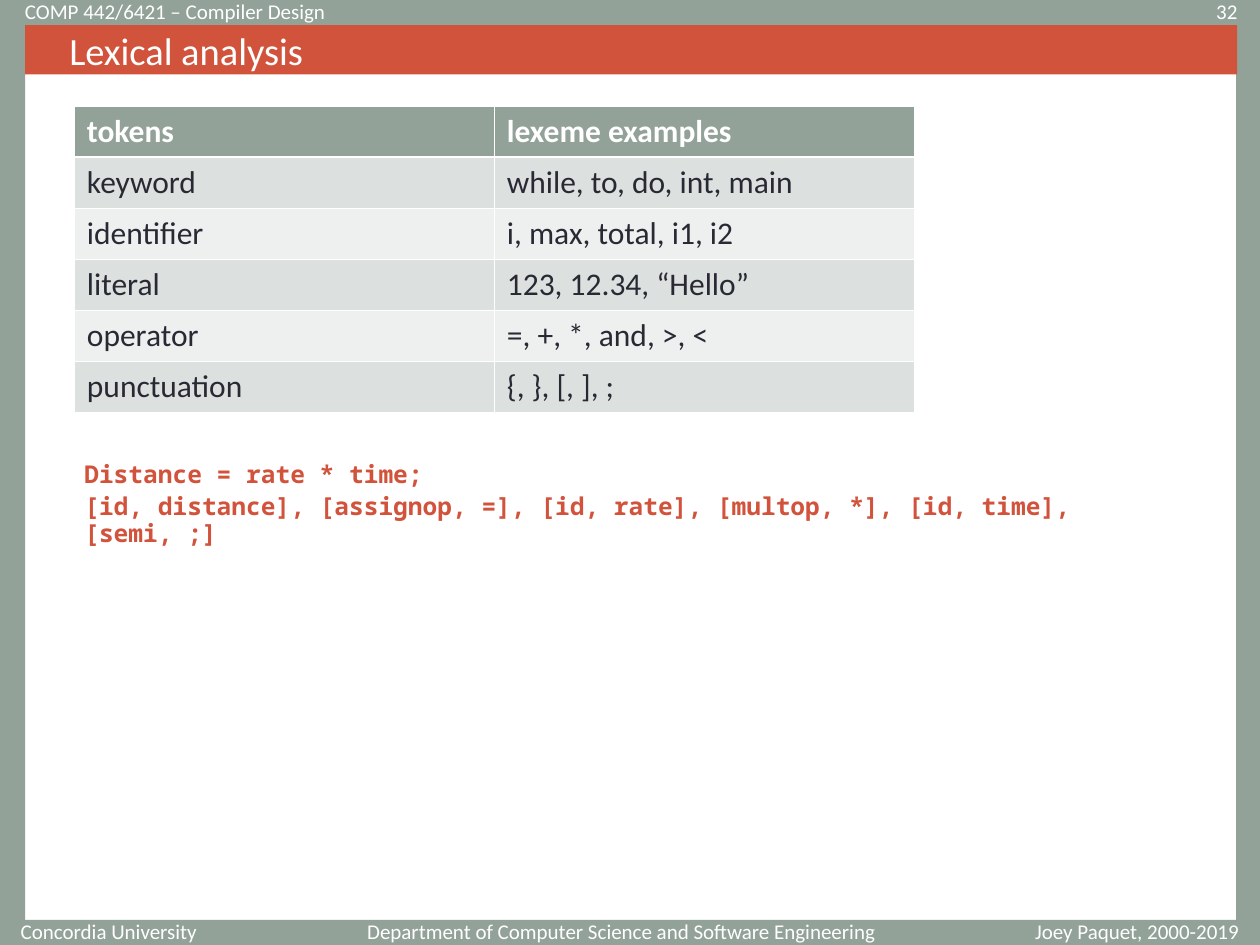
from typing import NamedTuple

from lxml.etree import SubElement
from pptx import Presentation
from pptx.dml.color import RGBColor
from pptx.enum.shapes import MSO_SHAPE as Kind
from pptx.enum.text import MSO_ANCHOR as Anchor, PP_ALIGN as Align
from pptx.oxml.ns import qn
from pptx.util import Pt

SAGE, RED, WHITE, INK = "93A299", "D2533C", "FFFFFF", "292934"
BANDS = ("DCE0DE", "EEF0EF")
SANS, MONO = "Calibri", "Noto Sans Mono"


class Box(NamedTuple):
    left: float
    top: float
    width: float
    height: float


class Label(NamedTuple):
    text: str
    box: Box
    align: Align


BARS = [
    Box(0, 0, 720, 14.4),
    Box(0, 525.6, 720, 14.4),
    Box(0, 0, 14.4, 535.7),
    Box(706.3, 13, 13.7, 527),
]
LABELS = [
    Label("Concordia University ", Box(2.2, 527.8, 120.2, 8.6), Align.RIGHT),
    Label("Department of Computer Science and Software Engineering",
          Box(201.6, 527.8, 306, 8.6), Align.RIGHT),
    Label("Joey Paquet, 2000-2019", Box(575.3, 527.8, 149, 8.6), Align.CENTER),
    Label("32", Box(630, 2.2, 84.2, 8.6), Align.RIGHT),
    Label("COMP 442/6421 – Compiler Design", Box(7.2, 2.2, 403.2, 8.6), Align.LEFT),
]
ROWS = [
    ("tokens", "lexeme examples"),
    ("keyword", "while, to, do, int, main"),
    ("identifier", "i, max, total, i1, i2"),
    ("literal", "123, 12.34, “Hello”"),
    ("operator", "=, +, *, and, >, <"),
    ("punctuation", "{, }, [, ], ;"),
]
CODE = [
    "Distance = rate * time;",
    "[id, distance], [assignop, =], [id, rate], [multop, *], [id, time], [semi, ;]",
]


def rgb(code: str) -> RGBColor:
    return RGBColor.from_string(code)


def place(box: Box) -> list:
    return [Pt(n) for n in box]


def style(para, size: float, color: str, face: str = SANS, bold: bool = False) -> None:
    for run in para.runs:
        font = run.font
        font.name, font.size, font.bold = face, Pt(size), bold
        font.color.rgb = rgb(color)


def add_rect(slide, box: Box, color: str):
    rect = slide.shapes.add_shape(Kind.RECTANGLE, *place(box))
    rect.shadow.inherit = False
    rect.fill.solid()
    rect.fill.fore_color.rgb = rgb(color)
    rect.line.fill.background()
    return rect


def add_title(slide, text: str) -> None:
    frame = add_rect(slide, Box(14.4, 14.4, 692.6, 28.1), RED).text_frame
    frame.text = text
    frame.margin_left = Pt(25.2)
    frame.vertical_anchor = Anchor.MIDDLE
    para = frame.paragraphs[0]
    para.alignment = Align.LEFT
    style(para, 22, WHITE)


def add_label(slide, label: Label) -> None:
    frame = slide.shapes.add_textbox(*place(label.box)).text_frame
    frame.word_wrap = True
    frame.vertical_anchor = Anchor.MIDDLE
    frame.text = label.text
    para = frame.paragraphs[0]
    para.alignment = label.align
    style(para, 12, WHITE)


def add_code(slide, lines: list[str]) -> None:
    frame = slide.shapes.add_textbox(*place(Box(19.4, 260.5, 680.4, 65))).text_frame
    frame.word_wrap = True
    frame.margin_left = Pt(28.8)
    frame.text = "\n".join(lines)
    for i, para in enumerate(frame.paragraphs):
        para.line_spacing = 0.9
        para.space_before = Pt(3.5 if i else 0)
        style(para, 14, RED, MONO, True)


def add_edges(cell, top: float, base: float) -> None:
    """Give the cell white borders, thin at the sides."""
    props = cell._tc.get_or_add_tcPr()
    for i, (side, width) in enumerate(zip("LRTB", (0.45, 0.45, top, base))):
        line = SubElement(props, qn(f"a:ln{side}"), w=str(Pt(width)))
        fill = SubElement(line, qn("a:solidFill"))
        SubElement(fill, qn("a:srgbClr"), val=WHITE)
        props.insert(i, line)


def add_grid(slide, rows: list[tuple[str, str]]) -> None:
    box = Box(42.5, 60.5, 480, 29.2 * len(rows))
    table = slide.shapes.add_table(len(rows), 2, *place(box)).table
    for r, texts in enumerate(rows):
        table.rows[r].height = Pt(29.2)
        head = r == 0
        for c, text in enumerate(texts):
            cell = table.cell(r, c)
            cell.text = text
            cell.fill.solid()
            cell.fill.fore_color.rgb = rgb(SAGE if head else BANDS[(r - 1) % 2])
            add_edges(cell, 1.47 if r == 1 else 0.45, 1.47 if head else 0.45)
            style(cell.text_frame.paragraphs[0], 18, WHITE if head else INK, bold=head)


def main() -> None:
    deck = Presentation()
    deck.slide_width, deck.slide_height = Pt(720), Pt(540)
    slide = deck.slides.add_slide(deck.slide_layouts[6])
    for bar in BARS:
        add_rect(slide, bar, SAGE)
    add_code(slide, CODE)
    add_title(slide, "Lexical analysis")
    for label in LABELS:
        add_label(slide, label)
    add_grid(slide, ROWS)
    deck.save("out.pptx")


if __name__ == "__main__":
    main()
